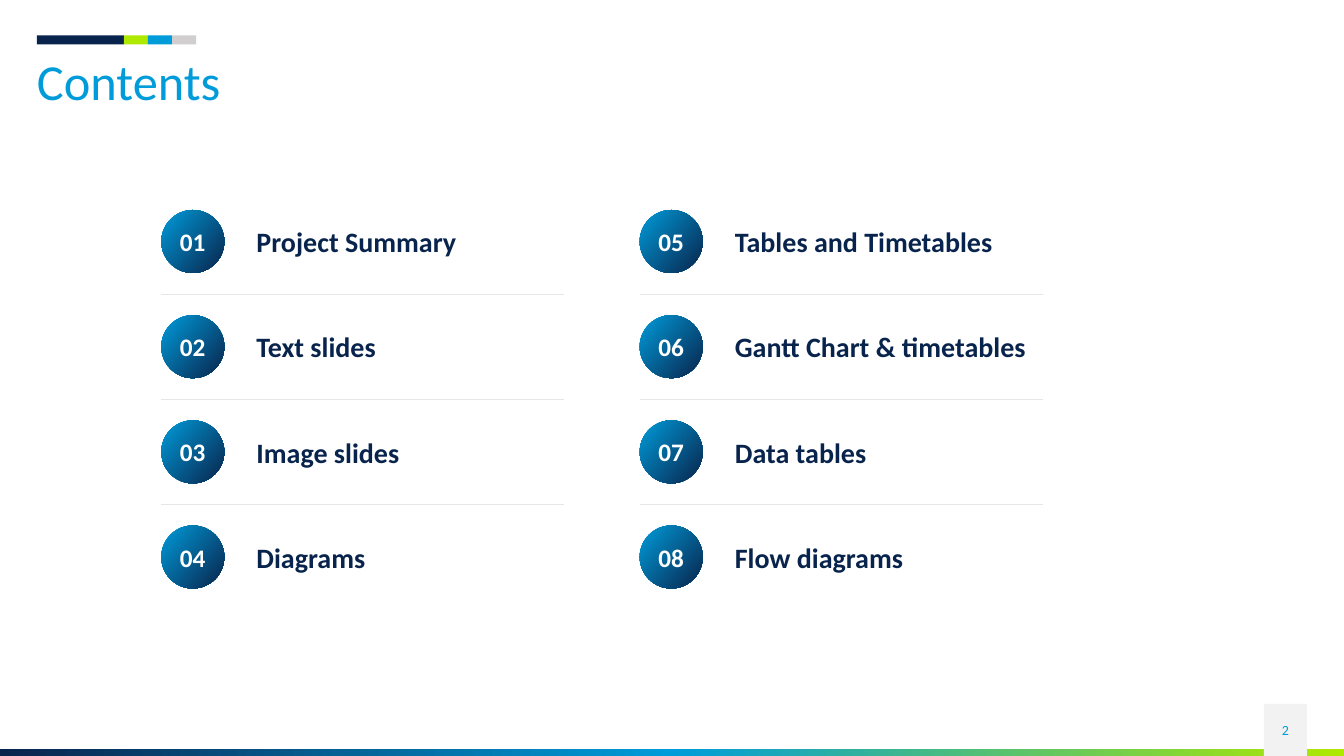
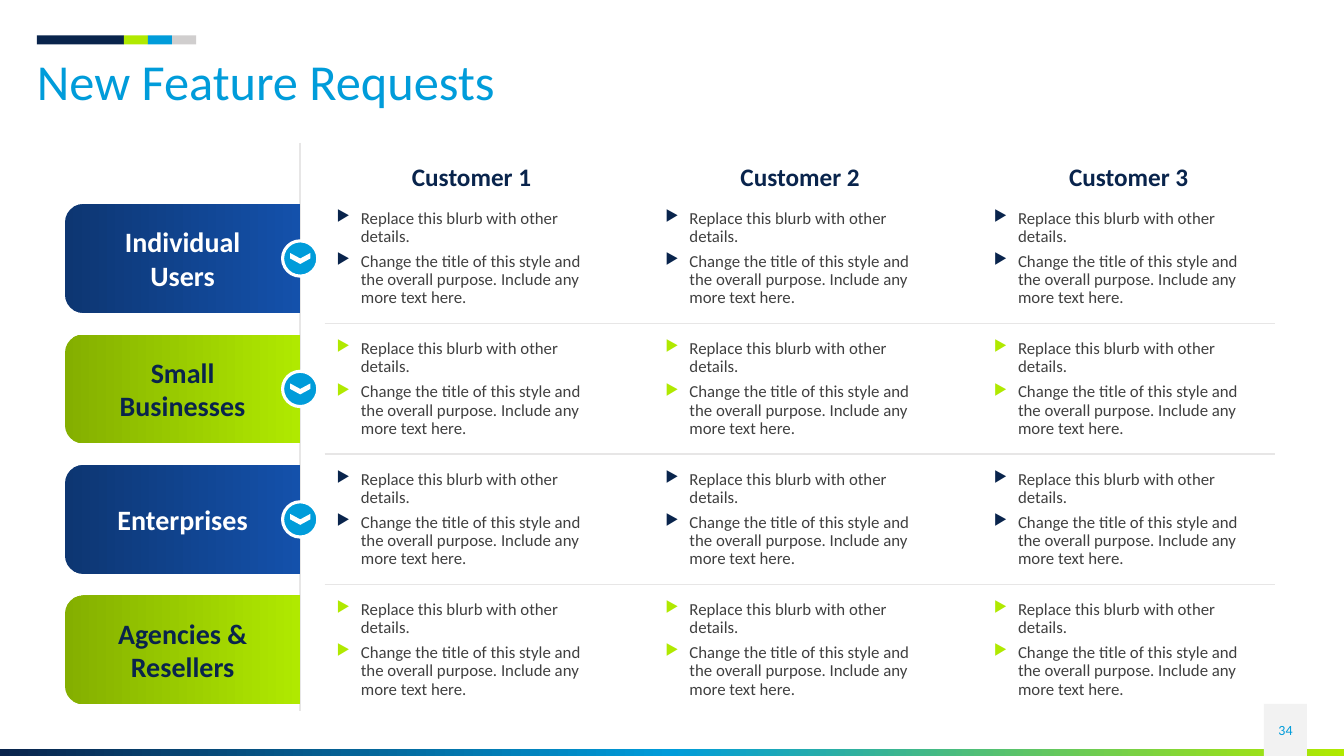
from copy import deepcopy
from dataclasses import dataclass

from lxml.etree import SubElement
from pptx import Presentation
from pptx.dml.color import RGBColor as Rgb
from pptx.enum.shapes import MSO_CONNECTOR as Connector, MSO_SHAPE as Preset
from pptx.enum.text import MSO_ANCHOR as Anchor, PP_ALIGN as Align
from pptx.oxml.ns import qn
from pptx.util import Emu, Inches, Pt

SLIDE_WIDTH, SLIDE_HEIGHT = Inches(13.333), Inches(7.5)
GRID_COLUMNS = 160
UNIT = SLIDE_WIDTH / GRID_COLUMNS


@dataclass(frozen=True)
class Theme:
    """Colours, font and type sizes shared by the slides."""
    navy: str = "09244C"
    blue: str = "009CDA"
    lime: str = "B0E900"
    silver: str = "D0CECE"
    rule: str = "E7E6E6"
    page_tab: str = "F2F2F2"
    white: str = "FFFFFF"
    body: str = "404040"
    navy_tab: tuple = ("0D3672", "1451AB")
    lime_tab: tuple = ("84AF00", "B0E900")
    font: str = "Calibri"
    title_size: int = 36
    label_size: int = 20
    heading_size: int = 18
    body_size: int = 12
    page_size: int = 10


THEME = Theme()


@dataclass(frozen=True)
class Box:
    """A rectangle in columns and rows of the square slide grid."""
    left: float
    top: float
    width: float
    height: float

    def inner(self, left, top, width, height):
        """Return a box placed relative to this one."""
        return Box(self.left + left, self.top + top, width, height)

    def centred(self, width, height):
        """Return a box of the given size with the same centre."""
        return self.inner((self.width - width) / 2, (self.height - height) / 2, width, height)

    def emu(self):
        """Return left, top, width and height as lengths."""
        return [Emu(round(value * UNIT)) for value in (self.left, self.top, self.width, self.height)]


PAGE = Box(0, 0, GRID_COLUMNS, 90)


def add_bullet(paragraph, colour, indent=0.24):
    """Give a paragraph a coloured triangle bullet with a hanging indent."""
    properties = paragraph._p.get_or_add_pPr()
    properties.set("marL", str(Inches(indent)))
    properties.set("indent", str(-Inches(indent)))
    SubElement(SubElement(properties, qn("a:buClr")), qn("a:srgbClr"), val=colour)
    SubElement(properties, qn("a:buSzPct"), val="90000")
    SubElement(properties, qn("a:buChar"), char="▶")


def write_text(shape, *texts, size, colour, bold=False, align=Align.LEFT, anchor=Anchor.MIDDLE,
               insets=(0, 0), line_spacing=None, before=0, after=0, bullet=None):
    """Write one paragraph for each text in one format."""
    frame = shape.text_frame
    frame.word_wrap = True
    frame.vertical_anchor = anchor
    frame.margin_left = frame.margin_right = Inches(insets[0])
    frame.margin_top = frame.margin_bottom = Inches(insets[1])
    for index, text in enumerate(texts):
        paragraph = frame.add_paragraph() if index else frame.paragraphs[0]
        paragraph.alignment = align
        if line_spacing:
            paragraph.line_spacing = line_spacing
        if index and before:
            paragraph.space_before = Pt(before)
        if after:
            paragraph.space_after = Pt(after)
        if bullet:
            add_bullet(paragraph, bullet)
        run = paragraph.add_run()
        run.text = text
        run.font.name = THEME.font
        run.font.size = Pt(size)
        run.font.bold = bold
        run.font.color.rgb = Rgb.from_string(colour)


def add_text(shapes, box, *texts, **text_format):
    """Add a text box."""
    write_text(shapes.add_textbox(*box.emu()), *texts, **text_format)


def fill_gradient(shape, colours, angle):
    """Fill a shape with evenly spaced colours at a clockwise angle."""
    shape.fill.gradient()
    shape.fill.gradient_angle = -angle % 360
    stop_list = shape._element.spPr.find(".//" + qn("a:gsLst"))
    for _ in colours[2:]:
        stop_list.append(deepcopy(stop_list[0]))
    for index, (stop, colour) in enumerate(zip(shape.fill.gradient_stops, colours)):
        stop.color.rgb = Rgb.from_string(colour)
        stop.position = index / (len(colours) - 1)


def add_block(shapes, preset, box, fill, angle=0, rotation=0, outline=None):
    """Add a preset shape with a plain or gradient fill."""
    shape = shapes.add_shape(preset, *box.emu())
    shape.shadow.inherit = False
    shape.rotation = rotation
    if isinstance(fill, str):
        shape.fill.solid()
        shape.fill.fore_color.rgb = Rgb.from_string(fill)
    else:
        fill_gradient(shape, fill, angle)
    if outline:
        shape.line.color.rgb = Rgb.from_string(outline)
        shape.line.width = Pt(2.25)
    else:
        shape.line.fill.background()
    return shape


def add_rule(shapes, box, weight):
    """Draw a thin line across a box of no width or no height."""
    left, top, width, height = box.emu()
    line = shapes.add_connector(Connector.STRAIGHT, left, top, left + width, top + height)
    line.line.color.rgb = Rgb.from_string(THEME.rule)
    line.line.width = Pt(weight)
    SubElement(line._element.spPr, qn("a:effectLst"))


def add_header(shapes, box, title):
    """Draw the colour strip and the title below it."""
    left = 0
    for colour, width in ((THEME.navy, 10.36), (THEME.lime, 2.86),
                          (THEME.blue, 2.86), (THEME.silver, 2.86)):
        add_block(shapes, Preset.RECTANGLE, box.inner(left, 0, width, 1.1), colour)
        left += width
    add_text(shapes, box.inner(0, 2.5, box.width, 6.6), title, size=THEME.title_size,
             colour=THEME.blue, line_spacing=0.9)


def add_footer(shapes, box, number):
    """Draw the gradient band and the page number tab."""
    add_block(shapes, Preset.RECTANGLE, box.inner(0, 5.4, box.width, 0.8),
              (THEME.navy, THEME.blue, THEME.lime))
    tab = add_block(shapes, Preset.RECTANGLE, box.inner(150.48, 0, 5.12, box.height), THEME.page_tab)
    write_text(tab, str(number), size=THEME.page_size, colour=THEME.blue,
               align=Align.CENTER, insets=(0, 0.03))


def start_slide(presentation, title, number):
    """Add a blank slide with the shared regions and return its shapes."""
    shapes = presentation.slides.add_slide(presentation.slide_layouts[6]).shapes
    add_footer(shapes, PAGE.inner(0, 83.8, PAGE.width, 6.2), number)
    add_header(shapes, PAGE.inner(4.4, 4.2, 151.2, 9.1), title)
    return shapes


def add_contents_column(shapes, box, topics, first):
    """List numbered topics with rules between them."""
    pitch, disc = 12.52, 7.5
    for index, topic in enumerate(topics):
        row = box.inner(0, index * pitch, box.width, disc)
        circle = add_block(shapes, Preset.OVAL, row.inner(0, 0, disc, disc),
                           (THEME.blue, THEME.navy), angle=40)
        write_text(circle, f"{first + index:02}", size=THEME.heading_size, colour=THEME.white,
                   bold=True, align=Align.CENTER)
        add_text(shapes, row.inner(10.15, 1.1, 54.4, 5.3), topic, size=THEME.label_size,
                 colour=THEME.navy, bold=True, insets=(0.1, 0.05))
        if index < len(topics) - 1:
            add_rule(shapes, row.inner(0, (pitch + disc) / 2, row.width, 0), 0.5)


def contents_slide(presentation, title, number, topics, rows=4):
    """Build the contents slide in columns of equal length."""
    shapes = start_slide(presentation, title, number)
    area = PAGE.inner(19.2, 25, 105, 45.1)
    for start in range(0, len(topics), rows):
        column = area.inner(start / rows * 56.96, 0, 48, area.height)
        add_contents_column(shapes, column, topics[start:start + rows], start + 1)


def add_segment_tab(shapes, box, label, fill, colour):
    """Draw a label tab rounded on its left side."""
    add_block(shapes, Preset.ROUND_2_SAME_RECTANGLE, box.centred(box.height, box.width),
              fill, angle=90, rotation=270)
    add_text(shapes, box.centred(17.9, box.height), label, size=THEME.label_size,
             colour=colour, bold=True, align=Align.CENTER)


def add_badge(shapes, box):
    """Draw a round badge with a chevron pointing down."""
    group = shapes.add_group_shape().shapes
    add_block(group, Preset.OVAL, box, THEME.blue, outline=THEME.white)
    add_block(group, Preset.CHEVRON, box.centred(1.3, 2.4), THEME.white, rotation=90)


def matrix_slide(presentation, title, number, segments, customers, requests):
    """Build the matrix of requests by segment and customer."""
    shapes = start_slide(presentation, title, number)
    matrix = PAGE.inner(7.74, 17, 144.1, 67.7)
    tab_width, tab_height, badge = 28, 12.95, 4.2
    cells_left, cell_width, column_pitch = 30.9, 35, 39.12
    header_height, row_height = 6.01, 15.53
    styles = ((THEME.navy_tab, THEME.white, THEME.navy), (THEME.lime_tab, THEME.navy, THEME.lime))

    add_rule(shapes, matrix.inner(tab_width, 0, 0, matrix.height), 1)
    for index, customer in enumerate(customers):
        add_text(shapes, matrix.inner(cells_left + index * column_pitch, 2.1, cell_width, 3.7),
                 customer, size=THEME.heading_size, colour=THEME.navy, bold=True, align=Align.CENTER)
    for index, segment in enumerate(segments):
        row = matrix.inner(0, header_height + index * row_height, matrix.width, row_height)
        tab_fill, tab_colour, bullet = styles[index % 2]
        tab = row.inner(0, 0, tab_width, row_height).centred(tab_width, tab_height)
        add_segment_tab(shapes, tab, segment, tab_fill, tab_colour)
        if index < len(segments) - 1:
            add_badge(shapes, row.inner(tab_width, 0, 0, row_height).centred(badge, badge))
            add_rule(shapes, row.inner(cells_left, row_height, row.width - cells_left, 0), 1)
        for column in range(len(customers)):
            cell = row.inner(cells_left + column * column_pitch, 0, cell_width, row_height)
            add_text(shapes, cell.centred(cell_width, 14.3), *requests, size=THEME.body_size,
                     colour=THEME.body, insets=(0.12, 0.08), line_spacing=0.9,
                     before=2, after=3, bullet=bullet)


def main():
    """Build and save the presentation."""
    presentation = Presentation()
    presentation.slide_width, presentation.slide_height = SLIDE_WIDTH, SLIDE_HEIGHT
    contents_slide(presentation, "Contents", 2, [
        "Project Summary", "Text slides", "Image slides", "Diagrams",
        "Tables and Timetables", "Gantt Chart & timetables", "Data tables", "Flow diagrams"])
    matrix_slide(
        presentation, "New Feature Requests", 34,
        ["Individual Users", "Small Businesses", "Enterprises", "Agencies & Resellers"],
        ["Customer 1", "Customer 2", "Customer 3"],
        ["Replace this blurb with other details.",
         "Change the title of this style and the overall purpose. Include any more text here."])
    presentation.save("out.pptx")


if __name__ == "__main__":
    main()
